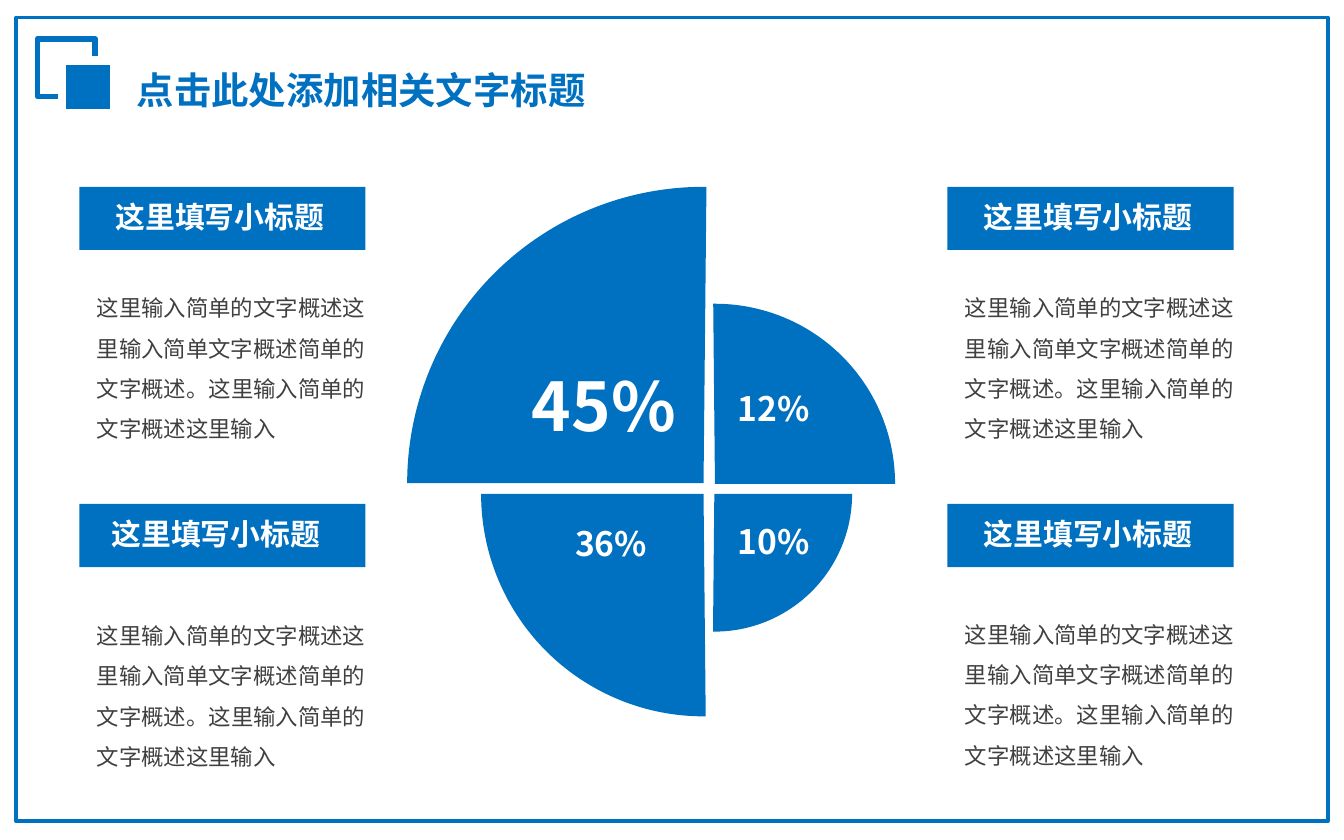
from lxml import etree
from pptx import Presentation
from pptx.dml.color import RGBColor
from pptx.enum.shapes import MSO_SHAPE
from pptx.enum.text import MSO_AUTO_SIZE, PP_ALIGN
from pptx.oxml.ns import qn
from pptx.util import Inches, Pt

RECTANGLE, PIE = MSO_SHAPE.RECTANGLE, MSO_SHAPE.CHORD.PIE
GROW = MSO_AUTO_SIZE.SHAPE_TO_FIT_TEXT
JUSTIFY = PP_ALIGN.JUSTIFY
BLUE, WHITE, GRAY = "0070C0", "FFFFFF", "404040"
CJK_FONT, LATIN_FONT = "Noto Sans CJK SC", "Calibri"


def add_block(kind, box, fill=None, line=None, line_width=0):
    shape = slide.shapes.add_shape(kind, *[Inches(value) for value in box])
    shape.shadow.inherit = False
    if fill:
        shape.fill.solid()
        shape.fill.fore_color.rgb = RGBColor.from_string(fill)
    else:
        shape.fill.background()
    if line:
        shape.line.color.rgb = RGBColor.from_string(line)
        shape.line.width = Pt(line_width)
    else:
        shape.line.fill.background()
    return shape


def add_text(box, runs, size, color, bold=False, wrap=False, spacing=None, align=None):
    shape = slide.shapes.add_textbox(*[Inches(value) for value in box])
    frame = shape.text_frame
    frame.word_wrap = wrap
    frame.auto_size = GROW
    if wrap:
        frame.margin_left = frame.margin_right = Inches(0.13)
        frame.margin_top = frame.margin_bottom = Inches(0.07)
    paragraph = frame.paragraphs[0]
    paragraph.line_spacing = spacing
    paragraph.alignment = align
    for text, font_name in runs:
        run = paragraph.add_run()
        run.text = text
        run.font.size = Pt(size)
        run.font.bold = bold
        run.font.color.rgb = RGBColor.from_string(color)
        run.font.name = font_name
        # East Asian glyphs need their own typeface element
        east_asian = etree.SubElement(run.font._element, qn("a:ea"))
        east_asian.set("typeface", CJK_FONT)


presentation = Presentation()
presentation.slide_width = Inches(10)
presentation.slide_height = Inches(6.25)
slide = presentation.slides.add_slide(presentation.slide_layouts[6])

# Frame, corner mark and title
add_block(RECTANGLE, (0.12, 0.13, 9.76, 5.98), WHITE, BLUE, 2)
add_block(RECTANGLE, (0.28, 0.29, 0.43, 0.43), None, BLUE, 3)
add_block(RECTANGLE, (0.46, 0.45, 0.39, 0.39), BLUE, WHITE, 4.5)
add_text((0.92, 0.45, 3.57, 0.44), [("点击此处添加相关文字标题", CJK_FONT)], 20, BLUE, bold=True)

# Quarter pies: left, top, diameter, flips
quarters = [
    (4.29, 2.65, 2.05, ()),
    (3.58, 2.02, 3.31, ("flipH",)),
    (3.98, 2.26, 2.68, ("flipV",)),
    (3.03, 1.39, 4.41, ("flipH", "flipV")),
]
for left, top, diameter, flips in quarters:
    quarter = add_block(PIE, (left, top, diameter, diameter), BLUE)
    quarter.adjustments[0] = 0
    quarter.adjustments[1] = 54.339
    for flip in flips:
        quarter._element.spPr.find(qn("a:xfrm")).set(flip, "1")

# Four captions: bar left and top, heading left, description top
body = [
    ("这里输入简单的文字概述这里输入简单文字概述简单的文字概述", LATIN_FONT),
    ("。", CJK_FONT),
    ("这里输入简单的文字概述这里输入", LATIN_FONT),
]
captions = [
    (0.59, 1.39, 0.73, 2.02),
    (7.05, 1.39, 7.19, 2.02),
    (0.59, 3.75, 0.7, 4.46),
    (7.05, 3.75, 7.19, 4.45),
]
for left, top, heading_left, body_top in captions:
    add_block(RECTANGLE, (left, top, 2.13, 0.47), BLUE)
    add_text((heading_left, top + 0.06, 1.85, 0.36), [("这里填写小标题", CJK_FONT)],
             16, WHITE, bold=True, wrap=True, spacing=Pt(16), align=JUSTIFY)
    add_text((left, body_top, 2.36, 1.35), body, 12, GRAY, wrap=True, spacing=1.5)

# Percentages on the quarters
percentages = [
    ("10%", (5.39, 3.83, 0.75, 0.4), 18),
    ("12%", (5.39, 2.84, 0.75, 0.4), 18),
    ("45%", (3.86, 2.66, 1.3, 0.71), 36),
    ("36%", (4.18, 3.84, 0.75, 0.4), 18),
]
for text, box, size in percentages:
    add_text(box, [(text, CJK_FONT)], size, WHITE, bold=True)

presentation.save("out.pptx")
